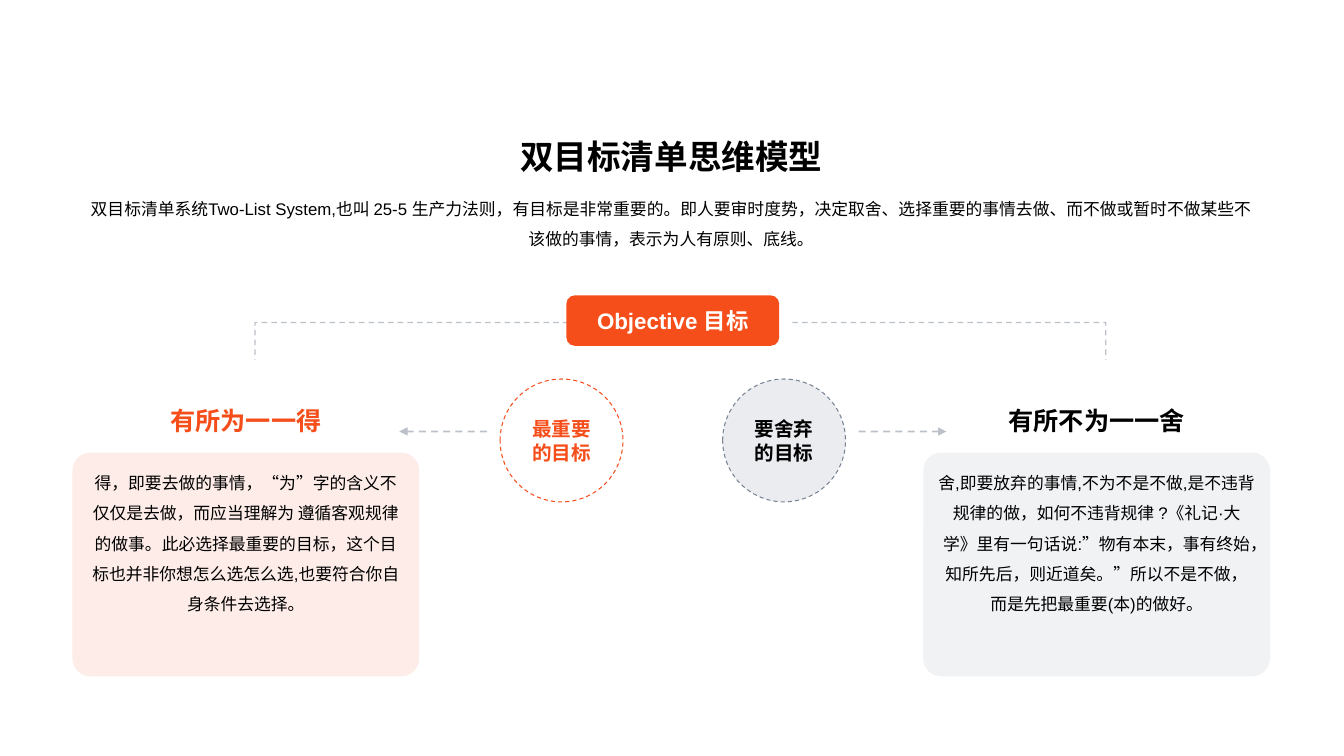
import lxml.etree
import pptx
import pptx.dml.color
import pptx.enum.dml
import pptx.enum.shapes
import pptx.enum.text
import pptx.oxml.ns
import pptx.util

Pt = pptx.util.Pt
RGBColor = pptx.dml.color.RGBColor
SHAPE = pptx.enum.shapes.MSO_SHAPE
CONNECTOR = pptx.enum.shapes.MSO_CONNECTOR
ANCHOR = pptx.enum.text.MSO_ANCHOR
qn = pptx.oxml.ns.qn

ORANGE = RGBColor(0xF5, 0x4E, 0x1A)
SLATE = RGBColor(0x77, 0x84, 0x95)
BLACK = RGBColor(0, 0, 0)
WHITE = RGBColor(0xFF, 0xFF, 0xFF)


def place(shape, left, top, width, height):
    shape.left, shape.top = Pt(left), Pt(top)
    shape.width, shape.height = Pt(width), Pt(height)


def write(shape, text, size=12, color=BLACK, bold=False, spacing=1.0,
          anchor=ANCHOR.TOP, inset=None, wrap=True):
    frame = shape.text_frame
    frame.word_wrap = wrap
    frame.auto_size = pptx.enum.text.MSO_AUTO_SIZE.NONE
    frame.vertical_anchor = anchor
    if inset is not None:
        frame.margin_left = frame.margin_right = Pt(inset)
        frame.margin_top = frame.margin_bottom = Pt(inset)
    para = frame.paragraphs[0]
    para.alignment = pptx.enum.text.PP_ALIGN.CENTER
    para.line_spacing = spacing
    para.space_before = Pt(0)
    span = para.add_run()
    span.text = text
    span.font.name = "Arial"
    span.font.size = Pt(size)
    span.font.bold = bold
    span.font.color.rgb = color


def set_alpha(fill_parent, percent):
    color = fill_parent.find(qn("a:solidFill")).find(qn("a:srgbClr"))
    lxml.etree.SubElement(color, qn("a:alpha")).set("val", str(percent * 1000))


def add_block(page, kind, box, fill=None, alpha=100, outline=None):
    shape = page.shapes.add_shape(kind, *(Pt(length) for length in box))
    shape.shadow.inherit = False
    if fill is None:
        shape.fill.background()
    else:
        shape.fill.solid()
        shape.fill.fore_color.rgb = fill
        if alpha < 100:
            set_alpha(shape._element.spPr, alpha)
    if outline is None:
        shape.line.fill.background()
    else:
        shape.line.color.rgb = outline
        shape.line.width = Pt(0.75)
        shape.line.dash_style = pptx.enum.dml.MSO_LINE.DASH
    return shape


def add_dashed_line(page, kind, start, end, width, arrow=False):
    line = page.shapes.add_connector(kind, *(Pt(v) for v in (*start, *end)))
    line.line.color.rgb = SLATE
    line.line.width = Pt(width)
    line.line.dash_style = pptx.enum.dml.MSO_LINE.DASH
    properties = line._element.spPr
    outline = properties.find(qn("a:ln"))
    set_alpha(outline, 50)
    if arrow:
        lxml.etree.SubElement(outline, qn("a:tailEnd")).set("type", "triangle")
    lxml.etree.SubElement(properties, qn("a:effectLst"))
    if kind == CONNECTOR.ELBOW:  # one corner only
        properties.find(qn("a:prstGeom")).set("prst", "bentConnector2")


def add_heading(page, box, title, intro):
    left, top, width, height = box
    title_height = 36
    place(page.shapes.title, left, top, width, title_height)
    write(page.shapes.title, title, size=24, bold=True, anchor=ANCHOR.BOTTOM)

    body = page.placeholders[1]
    place(body, left, top + title_height + 1.4, width, height - title_height - 1.4)
    write(body, intro, spacing=1.5)
    settings = body.text_frame.paragraphs[0]._p.get_or_add_pPr()
    settings.set("marL", "0")
    settings.set("indent", "0")
    lxml.etree.SubElement(settings, qn("a:buNone"))


def add_objective(page, box, text):
    button = add_block(page, SHAPE.ROUNDED_RECTANGLE, box, fill=ORANGE)
    write(button, text, size=16, color=WHITE, bold=True,
          anchor=ANCHOR.MIDDLE, inset=8.64, wrap=False)


def add_branch(page, box, side, elbow_start, goal, heading, detail,
               accent, text_color, goal_fill):
    """Lay out one branch; side is -1 to grow left, 1 to grow right."""
    left, top, width, height = box
    inner = left if side > 0 else left + width
    panel_width, panel_height, circle = 247.7, 159.8, 87.8
    panel_left = left + width - panel_width if side > 0 else left

    # Dashed links
    add_dashed_line(page, CONNECTOR.ELBOW, (inner + side * elbow_start, top),
                    (inner + side * (elbow_start + 223.9), top + 26.6), 1)
    add_dashed_line(page, CONNECTOR.STRAIGHT, (inner + side * 97.2, top + 77.8),
                    (inner + side * 159.8, top + 77.8), 1.25, arrow=True)

    # Goal circle
    circle_left = inner if side > 0 else inner - circle
    ring = add_block(page, SHAPE.OVAL, (circle_left, top + 40.3, circle, circle),
                     fill=goal_fill, alpha=15, outline=accent)
    write(ring, goal, size=14, color=text_color, bold=True,
          anchor=ANCHOR.MIDDLE, inset=8.64)

    # Panel and its heading
    panel_top = top + height - panel_height
    panel = add_block(page, SHAPE.ROUNDED_RECTANGLE,
                      (panel_left, panel_top, panel_width, panel_height),
                      fill=accent, alpha=10)
    panel.adjustments[0] = 0.08
    write(panel, detail, spacing=1.5)
    label = page.shapes.add_textbox(Pt(panel_left), Pt(panel_top - 46.1),
                                    Pt(panel_width), Pt(37.4))
    write(label, heading, size=18, color=text_color, bold=True,
          anchor=ANCHOR.BOTTOM)


def main():
    deck = pptx.Presentation()
    deck.slide_width, deck.slide_height = Pt(960), Pt(540)
    page = deck.slides.add_slide(deck.slide_layouts[1])

    add_heading(
        page, (51.8, 93.6, 855.4, 85.6), "双目标清单思维模型",
        "双目标清单系统Two-List System,也叫 25-5 生产力法则，有目标是非常重要的。"
        "即人要审时度势，决定取舍、选择重要的事情去做、而不做或暂时不做某些"
        "不该做的事情，表示为人有原则、底线。")
    add_branch(
        page, (51.8, 230.4, 393.2, 252.7), -1, 38.9,
        "最重要的目标", "有所为一一得",
        "得，即要去做的事情，“为”字的含义不仅仅是去做，而应当理解为 遵循客观规律"
        "的做事。此必选择最重要的目标，这个目标也并非你想怎么选怎么选,"
        "也要符合你自身条件去选择。",
        accent=ORANGE, text_color=ORANGE, goal_fill=None)
    add_branch(
        page, (516.2, 230.4, 391, 252.7), 1, 49.7,
        "要舍弃的目标", "有所不为一一舍",
        "舍,即要放弃的事情,不为不是不做,是不违背规律的做，如何不违背规律 ?"
        "《礼记·大学》里有一句话说:”物有本末，事有终始，知所先后，则近道矣。”"
        "所以不是不做，而是先把最重要(本)的做好。",
        accent=SLATE, text_color=BLACK, goal_fill=SLATE)
    add_objective(page, (404.6, 211, 152, 36), "Objective 目标")

    deck.save("out.pptx")


if __name__ == "__main__":
    main()
